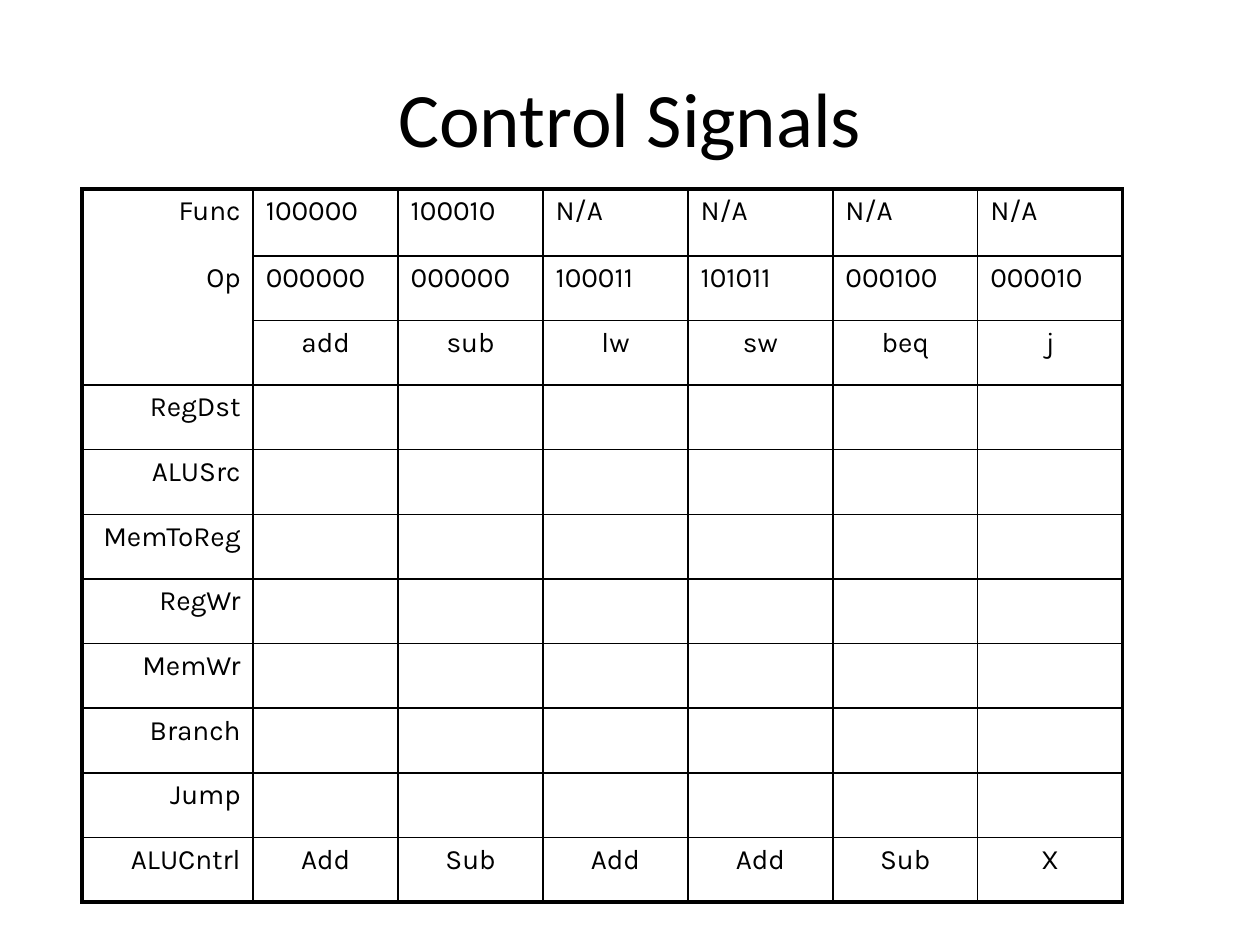
"""Build the Control Signals slide."""
from dataclasses import dataclass

from lxml.etree import SubElement
from pptx import Presentation
from pptx.dml.color import RGBColor
from pptx.enum.text import MSO_ANCHOR, PP_ALIGN
from pptx.oxml.ns import qn
from pptx.util import Inches, Pt


@dataclass(frozen=True)
class Theme:
    """Colours, fonts and sizes of the slide."""
    ink: str = "000000"
    paper: str = "FFFFFF"
    title_font: str = "Calibri"
    body_font: str = "Karla"
    title_size: float = 44
    body_size: float = 16
    outer: float = 2.25
    inner: float = 1
    space_before: int = 20


INSTRUCTIONS = ["add", "sub", "lw", "sw", "beq", "j"]
SIGNALS = ["RegDst", "ALUSrc", "MemToReg", "RegWr", "MemWr", "Branch", "Jump"]
ROWS = [
    ["Func", "100000", "100010"] + ["N/A"] * 4,
    ["Op", "000000", "000000", "100011", "101011", "000100", "000010"],
    [""] + INSTRUCTIONS,
    *[[name] + [""] * len(INSTRUCTIONS) for name in SIGNALS],
    ["ALUCntrl", "Add", "Sub", "Add", "Add", "Sub", "X"],
]
CODE_ROWS = 2
HEADER_ROWS = 3


class Deck:
    """Holds the theme and the current slide."""

    def __init__(self, prs, theme):
        """Add a title-only slide with a plain background."""
        self.theme = theme
        self.s = prs.slides.add_slide(prs.slide_layouts[5])
        fill = self.s.background.fill
        fill.solid()
        fill.fore_color.rgb = RGBColor.from_string(theme.paper)

    def text(self, tf, text, align, font, size):
        """Add one formatted paragraph and return it."""
        p = tf.paragraphs[0]
        p.alignment = align
        r = p.add_run()
        r.text = text
        for key, value in {"name": font, "size": Pt(size), "bold": False}.items():
            setattr(r.font, key, value)
        r.font.color.rgb = RGBColor.from_string(self.theme.ink)
        return p

    def title(self, text, left, top, width, height):
        """Place and fill the title."""
        sp = self.s.shapes.title
        box = {"left": left, "top": top, "width": width, "height": height}
        for key, value in box.items():
            setattr(sp, key, Inches(value))
        tf = sp.text_frame
        tf.vertical_anchor = MSO_ANCHOR.MIDDLE
        self.text(tf, text, PP_ALIGN.CENTER, self.theme.title_font, self.theme.title_size)

    def borders(self, cell, widths):
        """Draw the sides of a cell, where a zero width hides the side."""
        tcPr = cell._tc.get_or_add_tcPr()
        for side, width in widths.items():
            ln = SubElement(tcPr, qn(f"a:ln{side}"), w=str(Pt(width)))
            if width:
                fill = SubElement(ln, qn("a:solidFill"))
                SubElement(fill, qn("a:srgbClr"), val=self.theme.ink)
            else:
                SubElement(ln, qn("a:noFill"))

    def cell(self, cell, text, align, widths):
        """Format one table cell."""
        t = self.theme
        self.borders(cell, widths)
        cell.fill.background()
        if text:
            p = self.text(cell.text_frame, text, align, t.body_font, t.body_size)
            space = SubElement(p._p.get_or_add_pPr(), qn("a:spcBef"))
            SubElement(space, qn("a:spcPct"), val=str(t.space_before * 1000))

    def table(self, rows, left, top, col_widths, row_heights):
        """Add the grid with a heavy frame and an open corner block."""
        t = self.theme
        last_row, last_col = len(rows) - 1, len(rows[0]) - 1
        tbl = self.s.shapes.add_table(
            len(rows), len(rows[0]), Inches(left), Inches(top),
            Inches(sum(col_widths)), Inches(sum(row_heights))).table
        for key in ("first_row", "horz_banding"):
            setattr(tbl, key, False)
        for col, width in zip(tbl.columns, col_widths):
            col.width = Inches(width)
        for row, height in zip(tbl.rows, row_heights):
            row.height = Inches(height)
        for i, row in enumerate(rows):
            for j, text in enumerate(row):
                corner = j == 0 and i < HEADER_ROWS
                widths = {
                    "L": t.outer if j == 0 else t.inner,
                    "R": t.outer if j == last_col else t.inner,
                    "T": t.outer if i == 0 else 0 if corner else t.inner,
                    "B": t.outer if i == last_row
                    else 0 if corner and i < HEADER_ROWS - 1 else t.inner,
                }
                align = (PP_ALIGN.RIGHT if j == 0 else
                         PP_ALIGN.LEFT if i < CODE_ROWS else PP_ALIGN.CENTER)
                self.cell(tbl.cell(i, j), text, align, widths)


def main():
    """Build and save the slide."""
    prs = Presentation()
    prs.slide_width, prs.slide_height = Inches(10), Inches(7.5)
    deck = Deck(prs, Theme())
    deck.title("Control Signals", 0.5, 0.3, 9, 1.25)
    first, total = 0.53, 5.66
    rest = len(ROWS) - 1
    deck.table(ROWS, 0.65, 1.5, [1.36] + [1.15] * len(INSTRUCTIONS),
               [first] + [(total - first) / rest] * rest)
    prs.save("out.pptx")


if __name__ == "__main__":
    main()
